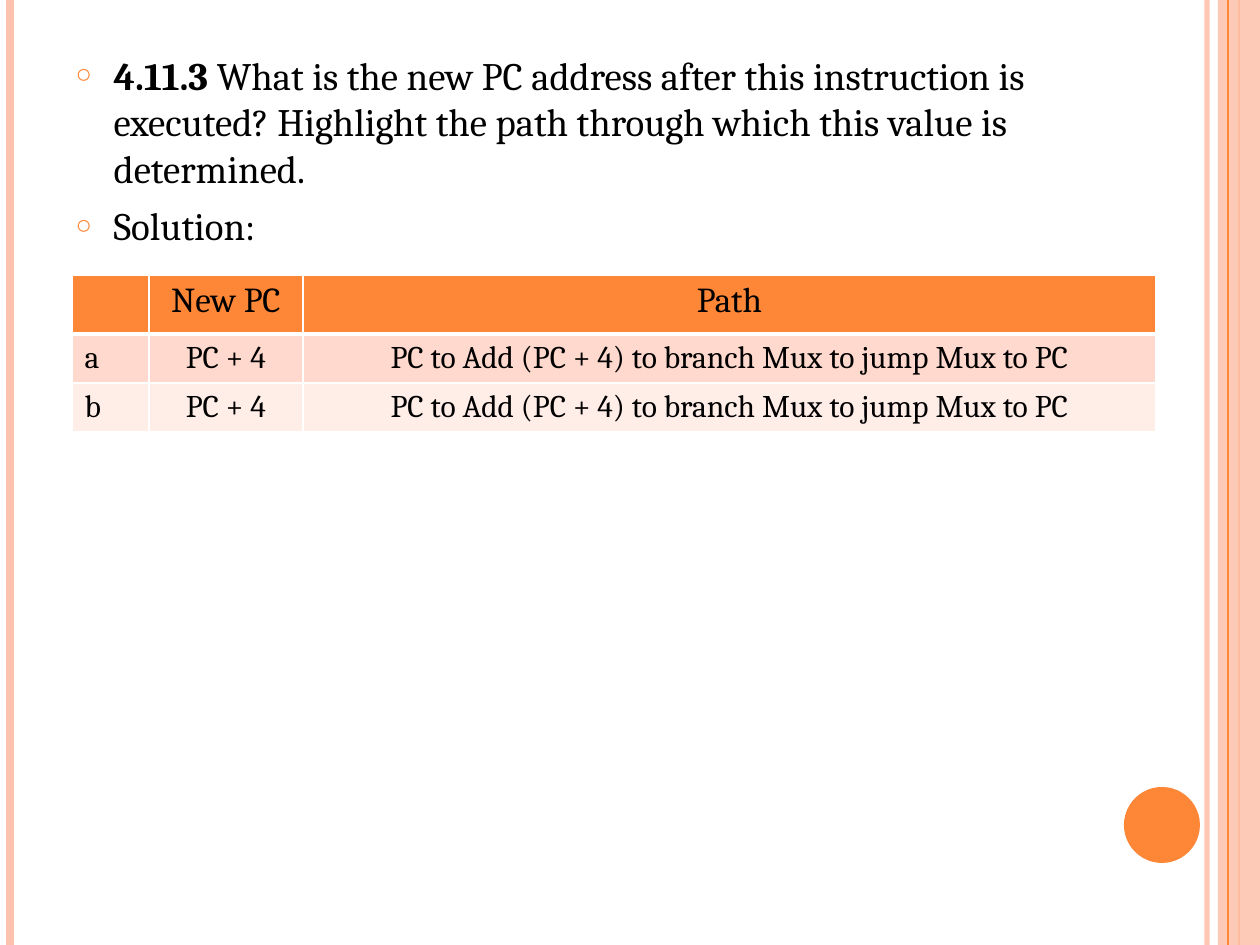
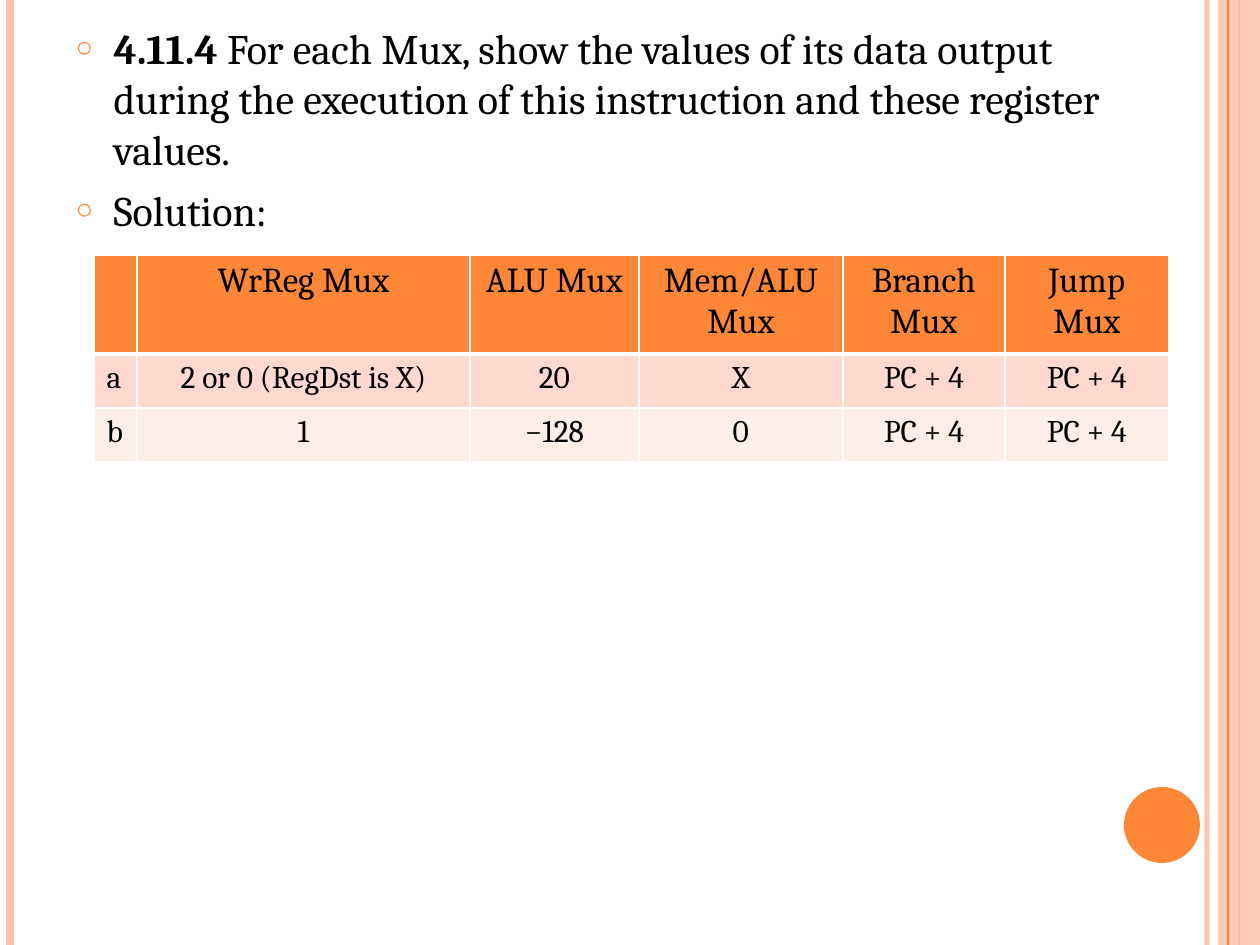
from lxml import etree
from pptx import Presentation
from pptx import util as u
from pptx.dml import color
from pptx.enum import shapes, text
from pptx.oxml import ns

PX_PER_INCH = 126
PAGE_WIDTH, PAGE_HEIGHT = 1260, 945
FONT = "Cambria"
COLORS = {
    "orange": "FE8637",
    "peach": "FEC3AE",
    "row_dark": "FFD9CE",
    "row_light": "FFEDE8",
    "white": "FFFFFF",
    "ink": "000000",
}
RULES = [
    (1207, "peach", 3, 93),
    (10, "peach", 4.5, 100),
    (1239, "orange", 1.5, 100),
]
INNER_RULE = (1228, "orange", 0.75, 100)
SIDE_BAND = (1218, 0, 42, PAGE_HEIGHT)
PAGE_DOT = (1124, 787, 76, 76)

PC_PATH = "PC to Add (PC + 4) to branch Mux to jump Mux to PC"
EXERCISES = [
    {
        "number": "4.11.3",
        "question": "What is the new PC address after this instruction is executed? "
                    "Highlight the path through which this value is determined.",
        "size": 22.2,
        "body": (63, 45, 1123, 238),
        "table": (72, 275),
        "columns": [77, 154, 853],
        "rows": [59, 49, 49],
        "cells": [
            ["", "New PC", "Path"],
            ["a", "PC + 4", PC_PATH],
            ["b", "PC + 4", PC_PATH],
        ],
    },
    {
        "number": "4.11.4",
        "question": "For each Mux, show the values of its data output during the "
                    "execution of this instruction and these register values.",
        "size": 24,
        "body": (63, 16, 1053, 876),
        "table": (94, 255),
        "columns": [43, 333, 169, 204, 162, 164],
        "rows": [99, 54, 54],
        "cells": [
            ["", "WrReg Mux", "ALU Mux", "Mem/ALU Mux", "Branch Mux", "Jump Mux"],
            ["a", "2 or 0 (RegDst is X)", "20", "X", "PC + 4", "PC + 4"],
            ["b", "1", "−128", "0", "PC + 4", "PC + 4"],
        ],
    },
]


def px(length):
    return u.Emu(round(length * 914400 / PX_PER_INCH))


def rgb(name):
    return color.RGBColor.from_string(COLORS[name])


def add_element(parent, tag, **attributes):
    return etree.SubElement(parent, ns.qn(tag), attributes)


def set_opacity(shape, percent):
    for shade in shape._element.spPr.iter(ns.qn("a:srgbClr")):
        add_element(shade, "a:alpha", val=str(percent * 1000))


def add_rule(page, left, shade, weight, opacity):
    rule = page.shapes.add_connector(
        shapes.MSO_CONNECTOR.STRAIGHT, px(left), 0, px(left), px(PAGE_HEIGHT))
    rule.line.color.rgb = rgb(shade)
    rule.line.width = u.Pt(weight)
    if opacity < 100:
        set_opacity(rule, opacity)
    add_element(rule._element.spPr, "a:effectLst")


def add_plain_shape(page, kind, box, shade):
    shape = page.shapes.add_shape(kind, *map(px, box))
    shape.shadow.inherit = False
    shape.fill.solid()
    shape.fill.fore_color.rgb = rgb(shade)
    shape.line.fill.background()
    return shape


def add_frame(page):
    for rule in RULES:
        add_rule(page, *rule)
    band = add_plain_shape(page, shapes.MSO_SHAPE.RECTANGLE, SIDE_BAND, "peach")
    set_opacity(band, 87)
    add_rule(page, *INNER_RULE)
    add_plain_shape(page, shapes.MSO_SHAPE.OVAL, PAGE_DOT, "orange")


def add_span(para, words, size, bold=False):
    span = para.add_run()
    span.text = words
    span.font.name = FONT
    span.font.size = u.Pt(size)
    span.font.bold = bold
    span.font.color.rgb = rgb("ink")


def add_bullet(para):
    indent = px(38)
    properties = para._p.get_or_add_pPr()
    properties.set("marL", str(indent))
    properties.set("indent", str(-indent))
    bullet_color = add_element(properties, "a:buClr")
    add_element(bullet_color, "a:srgbClr", val=COLORS["orange"])
    add_element(properties, "a:buSzPct", val="70000")
    add_element(properties, "a:buChar", char="○")


def fill_body(body, exercise):
    body.left, body.top, body.width, body.height = map(px, exercise["body"])
    frame = body.text_frame
    frame.auto_size = text.MSO_AUTO_SIZE.NONE
    size = exercise["size"]

    question = frame.paragraphs[0]
    question.space_before = u.Pt(0)
    add_bullet(question)
    add_span(question, exercise["number"], size, bold=True)
    add_span(question, " " + exercise["question"], size)

    solution = frame.add_paragraph()
    solution.space_before = u.Pt(6)
    add_bullet(solution)
    add_span(solution, "Solution:", size)


def add_borders(cell, top, bottom):
    properties = cell._tc.get_or_add_tcPr()
    for side, weight in (("L", 1), ("R", 1), ("T", top), ("B", bottom)):
        border = add_element(properties, "a:ln" + side, w=str(u.Pt(weight)))
        paint = add_element(border, "a:solidFill")
        add_element(paint, "a:srgbClr", val=COLORS["white"])


def format_cell(cell, words, row, column):
    add_borders(cell, top=3 if row == 1 else 1, bottom=3 if row == 0 else 1)
    cell.fill.solid()
    cell.fill.fore_color.rgb = rgb(("orange", "row_dark", "row_light")[row])
    para = cell.text_frame.paragraphs[0]
    if column:
        para.alignment = text.PP_ALIGN.CENTER
    if words:
        add_span(para, words, 18 if row else 20)


def add_answer_table(page, exercise):
    columns, rows = exercise["columns"], exercise["rows"]
    box = (*exercise["table"], sum(columns), sum(rows))
    table = page.shapes.add_table(len(rows), len(columns), *map(px, box)).table
    table.horz_banding = False
    for column, width in zip(table.columns, columns):
        column.width = px(width)
    for row, height in zip(table.rows, rows):
        row.height = px(height)
    for row, line in enumerate(exercise["cells"]):
        for column, words in enumerate(line):
            format_cell(table.cell(row, column), words, row, column)


def add_exercise(deck, exercise):
    page = deck.slides.add_slide(deck.slide_layouts[1])
    title = page.shapes.title._element
    title.getparent().remove(title)
    add_frame(page)
    fill_body(page.placeholders[1], exercise)
    add_answer_table(page, exercise)


def main():
    deck = Presentation()
    deck.slide_width, deck.slide_height = px(PAGE_WIDTH), px(PAGE_HEIGHT)
    for exercise in EXERCISES:
        add_exercise(deck, exercise)
    deck.save("out.pptx")


if __name__ == "__main__":
    main()
